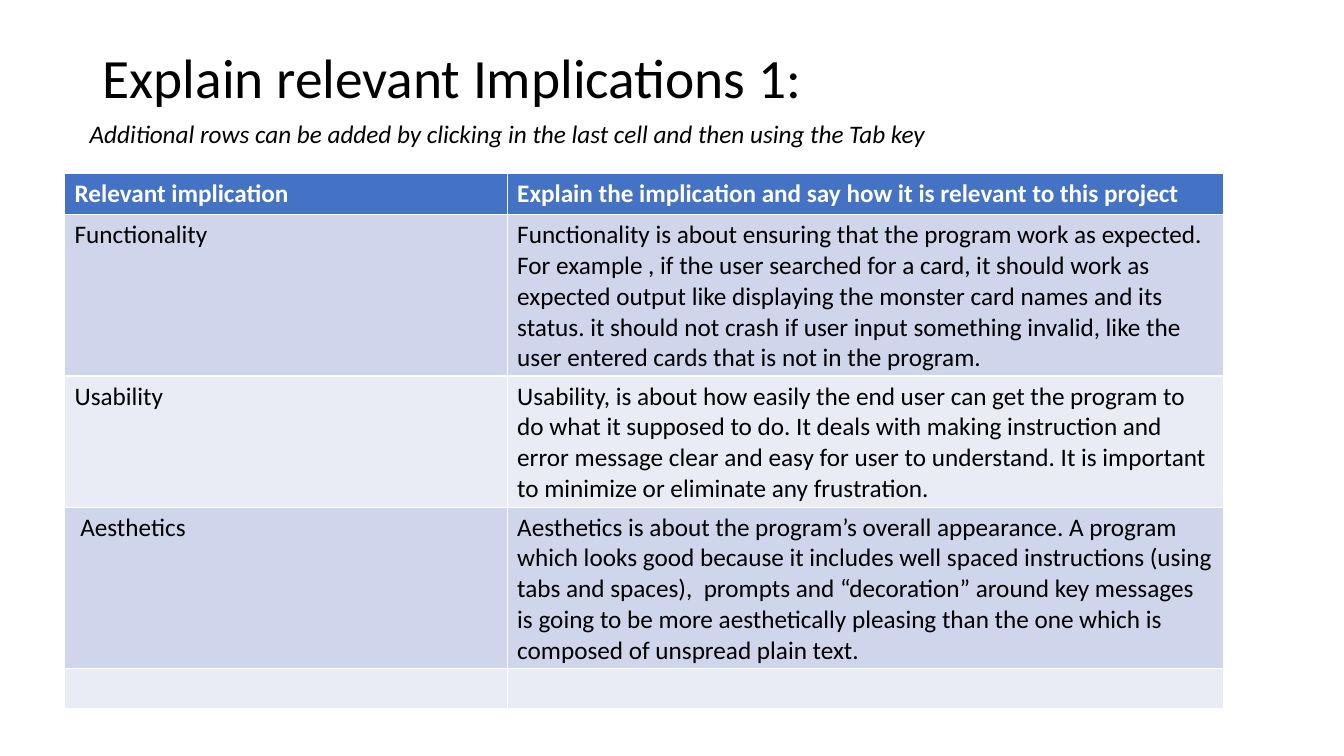
from pptx import Presentation
from pptx.dml.color import RGBColor
from pptx.enum.text import MSO_ANCHOR
from pptx.util import Pt

PX = 9144  # EMU per px, 100 px to the inch
FONT = "Calibri"
BLACK = RGBColor(0x00, 0x00, 0x00)
WHITE = RGBColor(0xFF, 0xFF, 0xFF)
HEADER_BLUE = RGBColor(0x44, 0x72, 0xC4)
BAND_DARK = RGBColor(0xCF, 0xD5, 0xEA)
BAND_LIGHT = RGBColor(0xE9, 0xEB, 0xF5)

TITLE = "Explain relevant Implications 1:"
HINT = "Additional rows can be added by clicking in the last cell and then using the Tab key"
COLUMN_SHARES = (439, 711)
# Each row: height in px, implication, explanation
ROWS = [
    (41, "Relevant implication",
     "Explain the implication and say how it is relevant to this project"),
    (160, "Functionality",
     "Functionality is about ensuring that the program work as expected.\n"
     "For example , if the user searched for a card, it should work as expected output "
     "like displaying the monster card names and its status. it should not crash if user "
     "input something invalid, like the user entered cards that is not in the program."),
    (130, "Usability",
     "Usability, is about how easily the end user can get the program to do what it "
     "supposed to do. It deals with making instruction and error message clear and easy "
     "for user to understand. It is important to minimize or eliminate any frustration."),
    (160, " Aesthetics",
     "Aesthetics is about the program’s overall appearance. A program which looks good "
     "because it includes well spaced instructions (using tabs and spaces),  prompts and "
     "“decoration” around key messages is going to be more aesthetically pleasing than "
     "the one which is composed of unspread plain text."),
    (40, "", ""),
]


def style_text(text_frame, size, color, bold=False, italic=False):
    for paragraph in text_frame.paragraphs:
        font = paragraph.font
        font.name, font.size = FONT, Pt(size)
        font.bold, font.italic = bold, italic
        font.color.rgb = color


def add_text(slide, box, text, size, anchor=MSO_ANCHOR.TOP, line_spacing=None, italic=False):
    text_frame = slide.shapes.add_textbox(*(n * PX for n in box)).text_frame
    text_frame.word_wrap = True
    text_frame.vertical_anchor = anchor
    text_frame.text = text
    text_frame.paragraphs[0].line_spacing = line_spacing
    style_text(text_frame, size, BLACK, italic=italic)


def add_implications_table(slide, box):
    left, top, width, height = (n * PX for n in box)
    table = slide.shapes.add_table(len(ROWS), len(COLUMN_SHARES), left, top, width, height).table
    for column, share in zip(table.columns, COLUMN_SHARES):
        column.width = width * share // sum(COLUMN_SHARES)
    for index, (row_height, *texts) in enumerate(ROWS):
        is_header = index == 0
        band = BAND_DARK if index % 2 else BAND_LIGHT
        row = table.rows[index]
        row.height = row_height * PX
        for cell, text in zip(row.cells, texts):
            cell.text = text
            cell.fill.solid()
            cell.fill.fore_color.rgb = HEADER_BLUE if is_header else band
            style_text(cell.text_frame, 18, WHITE if is_header else BLACK, bold=is_header)


def main():
    presentation = Presentation()
    presentation.slide_width = 1333 * PX
    presentation.slide_height = 750 * PX
    slide = presentation.slides.add_slide(presentation.slide_layouts[6])

    # Heading and hint
    add_text(slide, (92, 40, 1150, 61), TITLE, 39.6, MSO_ANCHOR.MIDDLE, line_spacing=1.15)
    add_text(slide, (79, 112, 1094, 40), HINT, 18, italic=True)

    # Implications
    add_implications_table(slide, (64, 172, 1150, 531))

    presentation.save("out.pptx")


if __name__ == "__main__":
    main()
